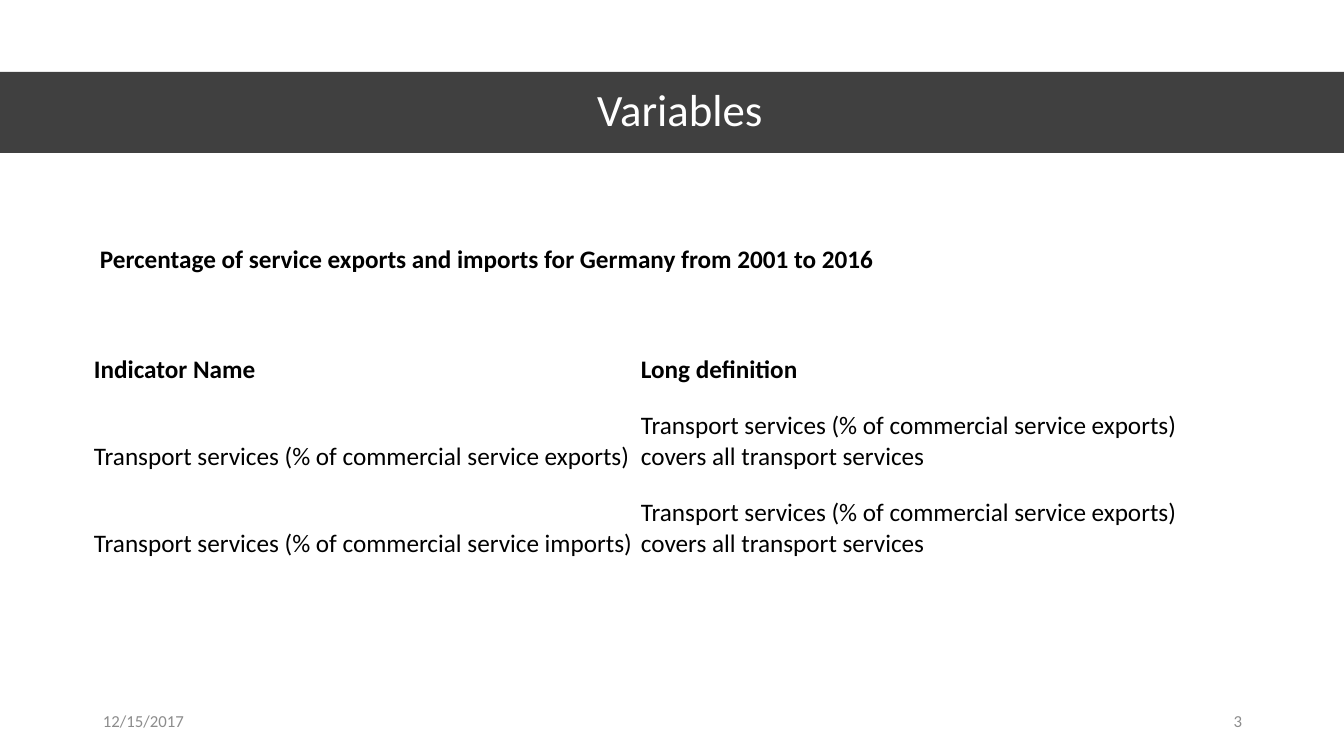
"""Build the Variables slide: title band, caption, definitions table and footer."""
from dataclasses import dataclass

from lxml import etree
from pptx import Presentation
from pptx import util as u
from pptx.dml.color import RGBColor
from pptx.enum import shapes, text
from pptx.oxml import ns


@dataclass
class Theme:
    font: str = "Calibri"
    black: str = "000000"
    white: str = "FFFFFF"
    gray: str = "8C8C8C"
    head: int = 32
    body: int = 18
    foot: int = 12


theme = Theme()
align = text.PP_ALIGN
anchor = text.MSO_ANCHOR


def px(*vals):
    return [u.Emu(round(val * 914400 / 100.8)) for val in vals]


def write(frame, words, size, color, bold=False, side=align.LEFT):
    frame.text = words
    para = frame.paragraphs[0]
    para.alignment = side
    font = para.runs[0].font
    font.name, font.size, font.bold = theme.font, u.Pt(size), bold
    font.color.rgb = RGBColor.from_string(color)


deck = Presentation()
deck.slide_width, deck.slide_height = px(1344, 756)
slide = deck.slides.add_slide(deck.slide_layouts[5])

title = slide.shapes.title
title.left, title.top, title.width, title.height = px(62, 71, 1236, 82)
write(title.text_frame, "Variables", theme.head, theme.white, side=align.CENTER)
title.text_frame.vertical_anchor = anchor.MIDDLE
title.text_frame.paragraphs[0].line_spacing = 0.9

band = slide.shapes.add_shape(shapes.MSO_SHAPE.RECTANGLE, *px(0, 72, 1344, 81))
band.shadow.inherit = False
band.line.fill.background()
band.fill.solid()
band.fill.fore_color.rgb = RGBColor.from_string(theme.black)
tint = band.fill._xPr.find(".//" + ns.qn("a:srgbClr"))
etree.SubElement(tint, ns.qn("a:alpha"), val="75000")
title._element.addprevious(band._element)

for left, words, side in [(93, "12/15/2017", align.LEFT), (950, "3", align.RIGHT)]:
    frame = slide.shapes.add_textbox(*px(left, 701, 302, 40)).text_frame
    frame.word_wrap = True
    frame.vertical_anchor = anchor.MIDDLE
    write(frame, words, theme.foot, theme.gray, side=side)
    frame.paragraphs[0].space_after = u.Pt(6)

rows = [
    ("Indicator Name", "Long definition"),
    ("Transport services (% of commercial service exports)",
     "Transport services (% of commercial service exports) covers all transport services"),
    ("Transport services (% of commercial service imports)",
     "Transport services (% of commercial service exports) covers all transport services"),
]
table = slide.shapes.add_table(3, 2, *px(93, 319, 1117, 240)).table
table.horz_banding = False
for col, width in zip(table.columns, px(547, 570)):
    col.width = width
for row, height in zip(table.rows, px(66, 87, 87)):
    row.height = height

for r, row in enumerate(rows):
    for c, words in enumerate(row):
        cell = table.cell(r, c)
        cell.margin_left = cell.margin_top = cell.margin_right = px(1)[0]
        cell.margin_bottom = 0
        cell.vertical_anchor = anchor.BOTTOM
        write(cell.text_frame, words, theme.body, theme.black, bold=r == 0)
        props = cell._tc.get_or_add_tcPr()
        for edge in ("lnL", "lnR", "lnT", "lnB"):
            line = etree.SubElement(props, ns.qn("a:" + edge), w=str(u.Pt(1)))
            fill = etree.SubElement(line, ns.qn("a:solidFill"))
            etree.SubElement(fill, ns.qn("a:srgbClr"), val=theme.white)
        cell.fill.background()

frame = slide.shapes.add_textbox(*px(90, 238, 800, 40)).text_frame
frame.word_wrap = False
frame.auto_size = text.MSO_AUTO_SIZE.SHAPE_TO_FIT_TEXT
write(frame, "Percentage of service exports and imports for Germany from 2001 to 2016",
      theme.body, theme.black, bold=True)

deck.save("out.pptx")
